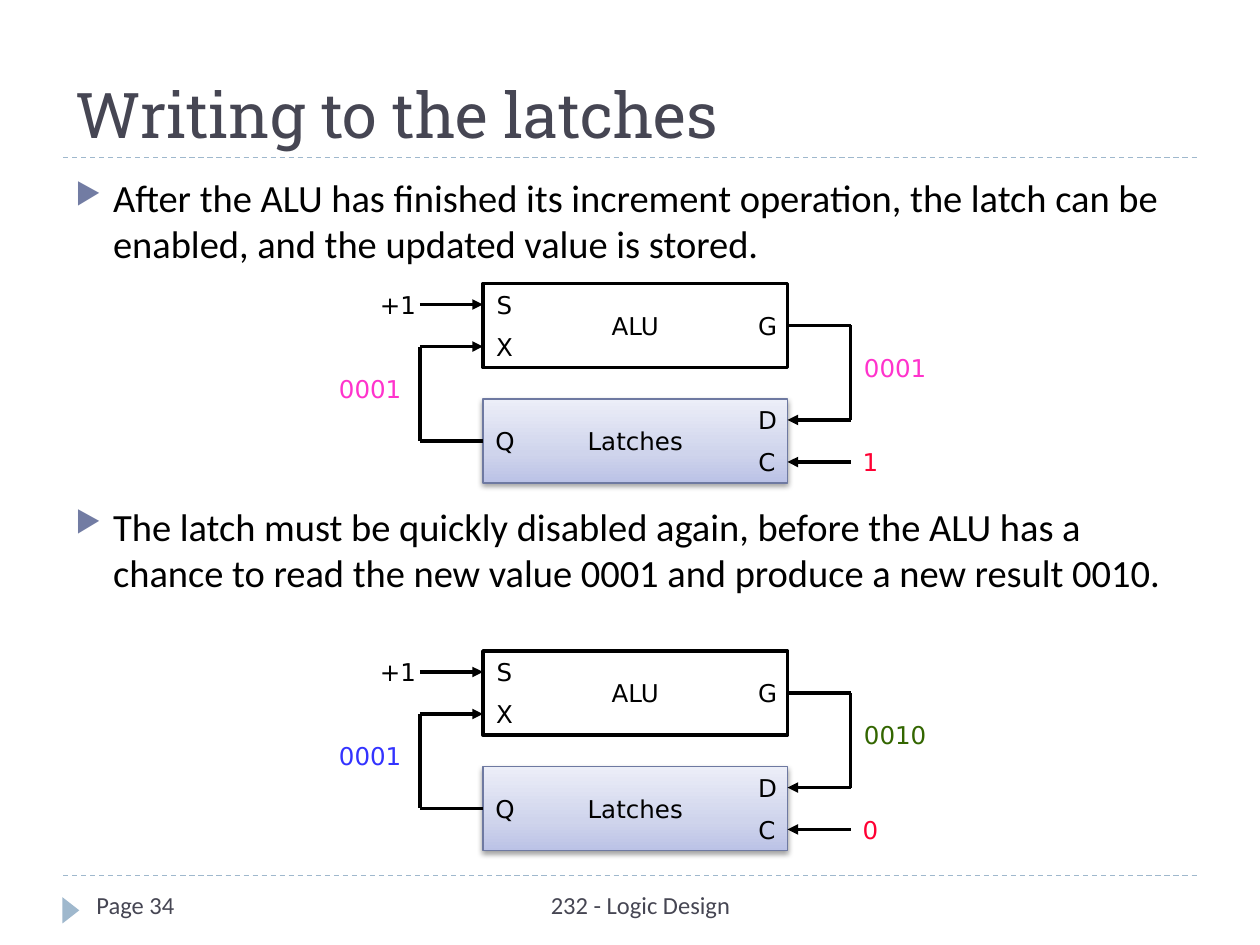
from copy import deepcopy
from dataclasses import dataclass
from typing import Optional

from lxml import etree
from pptx import Presentation
from pptx.dml.color import RGBColor
from pptx.enum.dml import MSO_LINE
from pptx.enum.shapes import MSO_CONNECTOR, MSO_SHAPE
from pptx.enum.text import MSO_ANCHOR, PP_ALIGN
from pptx.oxml.ns import qn
from pptx.util import Emu, Pt

EMU_PER_PX = 7620
STRAIGHT = MSO_CONNECTOR.STRAIGHT
RECTANGLE = MSO_SHAPE.RECTANGLE
TRIANGLE = MSO_SHAPE.ISOSCELES_TRIANGLE
DASH = MSO_LINE.DASH
LEFT, CENTER = PP_ALIGN.LEFT, PP_ALIGN.CENTER
TOP, MIDDLE, BOTTOM = MSO_ANCHOR.TOP, MSO_ANCHOR.MIDDLE, MSO_ANCHOR.BOTTOM
LEFT_SIDE, RIGHT_SIDE = 1, 3

BLACK = RGBColor(0x00, 0x00, 0x00)
SLATE = RGBColor(0x46, 0x46, 0x53)
PALE_BLUE = RGBColor(0x9F, 0xB8, 0xCD)
BULLET_BLUE = RGBColor(0x72, 0x7C, 0xA3)
LATCH_EDGE = RGBColor(0x6E, 0x79, 0xA1)
RED = RGBColor(0xFF, 0x00, 0x33)
PINK = RGBColor(0xFF, 0x33, 0xCC)
BLUE = RGBColor(0x33, 0x33, 0xFF)
GREEN = RGBColor(0x33, 0x66, 0x00)
LATCH_STOPS = (
    (0, RGBColor(0xBB, 0xC2, 0xE6)),
    (0.35, RGBColor(0xCF, 0xD4, 0xEC)),
    (1, RGBColor(0xEC, 0xEE, 0xF8)),
)

BODY_FONT, TITLE_FONT, DIAGRAM_FONT = "Calibri", "Roboto Slab", "DejaVu Sans"
BOX_LEFT, BOX_RIGHT, BOX_HEIGHT = 460, 750, 80
LOOP_LEFT, LOOP_RIGHT = 400, 810
LATCH_OFFSET, LABEL_HEIGHT = 110, 40


@dataclass
class Label:
    text: str
    left: int
    top: int
    width: int
    color: RGBColor = BLACK


@dataclass
class Wire:
    start: tuple[int, int]
    end: tuple[int, int]
    arrow: bool = False
    begin_box: Optional[str] = None
    end_box: Optional[str] = None


@dataclass
class Circuit:
    top: int
    latch_output: str
    latch_color: RGBColor
    alu_output: str
    alu_color: RGBColor
    enable: str


WIRES = (
    Wire((LOOP_LEFT, 20), (BOX_LEFT, 20), arrow=True),
    Wire((BOX_RIGHT, 40), (LOOP_RIGHT, 40), begin_box="ALU"),
    Wire((LOOP_RIGHT, 40), (LOOP_RIGHT, 130)),
    Wire((LOOP_RIGHT, 130), (BOX_RIGHT, 130), arrow=True),
    Wire((LOOP_LEFT, 150), (BOX_LEFT, 150), end_box="Latches"),
    Wire((LOOP_LEFT, 60), (LOOP_LEFT, 150)),
    Wire((LOOP_LEFT, 60), (BOX_LEFT, 60), arrow=True),
    Wire((LOOP_RIGHT, 170), (BOX_RIGHT, 170), arrow=True),
)
PIN_LABELS = (
    Label("+1", 350, 0, 58),
    Label("S", 460, 0, 41),
    Label("X", 460, 40, 41),
    Label("G", 710, 20, 42),
    Label("D", 710, 110, 42),
    Label("Q", 460, 130, 42),
    Label("C", 710, 150, 41),
)
CIRCUITS = (
    Circuit(270, "0001", PINK, "0001", PINK, "1"),
    Circuit(620, "0001", BLUE, "0010", GREEN, "0"),
)
BULLETS = (
    "After the ALU has finished its increment operation, the latch can be "
    "enabled, and the updated value is stored.",
    "The latch must be quickly disabled again, before the ALU has a "
    "chance to read the new value 0001 and produce a new result 0010.",
)


def px(value: int) -> Emu:
    return Emu(value * EMU_PER_PX)


def format_paragraph(paragraph, font: str, size: int, color: RGBColor, align=LEFT) -> None:
    paragraph.alignment = align
    for run in paragraph.runs:
        run.font.name, run.font.size = font, Pt(size)
        run.font.color.rgb = color


def add_text(shapes, text: str, left: int, top: int, width: int, height: int,
             font: str, size: int, color: RGBColor, align=LEFT, anchor=TOP):
    shape = shapes.add_textbox(px(left), px(top), px(width), px(height))
    text_frame = shape.text_frame
    text_frame.word_wrap = True
    text_frame.vertical_anchor = anchor
    text_frame.text = text
    for paragraph in text_frame.paragraphs:
        format_paragraph(paragraph, font, size, color, align)
    return shape


def add_label(shapes, label: Label, circuit_top: int) -> None:
    shape = add_text(shapes, label.text, label.left, circuit_top + label.top, label.width,
                     LABEL_HEIGHT, DIAGRAM_FONT, 14, label.color, CENTER)
    shape.text_frame.word_wrap = False
    shape.text_frame.margin_left = shape.text_frame.margin_right = 0


def add_line(shapes, start: tuple[int, int], end: tuple[int, int], color: RGBColor, width: float):
    connector = shapes.add_connector(STRAIGHT, *map(px, start + end))
    connector.line.color.rgb = color
    connector.line.width = Pt(width)
    etree.SubElement(connector._element.spPr, qn("a:effectLst"))
    return connector


def add_box(shapes, text: str, top: int, edge: RGBColor, width: float):
    shape = shapes.add_shape(RECTANGLE, px(BOX_LEFT), px(top),
                             px(BOX_RIGHT - BOX_LEFT), px(BOX_HEIGHT))
    shape.shadow.inherit = False
    shape.fill.background()
    shape.line.color.rgb = edge
    shape.line.width = Pt(width)
    shape.text_frame.text = text
    shape.text_frame.vertical_anchor = MIDDLE
    format_paragraph(shape.text_frame.paragraphs[0], DIAGRAM_FONT, 14, BLACK, CENTER)
    return shape


def style_latch(shape) -> None:
    shape.fill.gradient()
    shape.fill.gradient_angle = 90
    properties = shape._element.spPr
    stop_list = properties.find(".//" + qn("a:gsLst"))
    stop_list.insert(1, deepcopy(stop_list[0]))
    for stop, (position, color) in zip(shape.fill.gradient_stops, LATCH_STOPS):
        stop.position = position
        stop.color.rgb = color
    shadow = etree.SubElement(properties.find(qn("a:effectLst")), qn("a:outerShdw"),
                              blurRad="40000", dist="20000", dir="5400000", rotWithShape="0")
    shadow_color = etree.SubElement(shadow, qn("a:srgbClr"), val=str(BLACK))
    etree.SubElement(shadow_color, qn("a:alpha"), val="38000")


def add_circuit(slide, circuit: Circuit) -> None:
    shapes = slide.shapes.add_group_shape().shapes
    boxes = {
        "ALU": add_box(shapes, "ALU", circuit.top, BLACK, 2),
        "Latches": add_box(shapes, "Latches", circuit.top + LATCH_OFFSET, LATCH_EDGE, 0.75),
    }
    style_latch(boxes["Latches"])
    for wire in WIRES:
        start, end = ((x, y + circuit.top) for x, y in (wire.start, wire.end))
        connector = add_line(shapes, start, end, BLACK, 2)
        if wire.arrow:
            line = connector._element.spPr.find(qn("a:ln"))
            etree.SubElement(line, qn("a:tailEnd"), type="triangle")
        if wire.begin_box:
            connector.begin_connect(boxes[wire.begin_box], RIGHT_SIDE)
        if wire.end_box:
            connector.end_connect(boxes[wire.end_box], LEFT_SIDE)
    value_labels = (
        Label(circuit.enable, 810, 150, 38, RED),
        Label(circuit.latch_output, 311, 80, 83, circuit.latch_color),
        Label(circuit.alu_output, 811, 60, 83, circuit.alu_color),
    )
    for label in PIN_LABELS + value_labels:
        add_label(shapes, label, circuit.top)


def add_bullets(slide) -> None:
    body = add_text(slide.shapes, "\n".join(BULLETS), 60, 160, 1080, 644, BODY_FONT, 22, BLACK)
    for paragraph in body.text_frame.paragraphs:
        properties = paragraph._p.get_or_add_pPr()
        properties.set("marL", str(px(36)))
        properties.set("indent", str(px(-36)))
        bullet_color = etree.SubElement(properties, qn("a:buClr"))
        etree.SubElement(bullet_color, qn("a:srgbClr"), val=str(BULLET_BLUE))
        etree.SubElement(properties, qn("a:buSzPct"), val="76000")
        etree.SubElement(properties, qn("a:buChar"), char="▶")
    body.text_frame.paragraphs[1].space_before = Pt(135)


def main() -> None:
    presentation = Presentation()
    presentation.slide_width, presentation.slide_height = px(1200), px(900)
    slide = presentation.slides.add_slide(presentation.slide_layouts[6])
    for y in (834, 150):
        add_line(slide.shapes, (60, y), (1140, y), PALE_BLUE, 0.75).line.dash_style = DASH
    marker = slide.shapes.add_shape(TRIANGLE, px(55), px(859), px(25), px(16))
    marker.rotation = 90
    marker.shadow.inherit = False
    marker.fill.solid()
    marker.fill.fore_color.rgb = PALE_BLUE
    marker.line.fill.background()
    add_text(slide.shapes, "232 - Logic Design", 380, 842, 460, 48, BODY_FONT, 14, SLATE, CENTER)
    add_text(slide.shapes, "Page 34", 80, 842, 260, 48, BODY_FONT, 14, SLATE)
    add_text(slide.shapes, "Writing to the latches", 60, 20, 1080, 130,
             TITLE_FONT, 36, SLATE, anchor=BOTTOM)
    add_bullets(slide)
    for circuit in CIRCUITS:
        add_circuit(slide, circuit)
    presentation.save("out.pptx")


if __name__ == "__main__":
    main()
